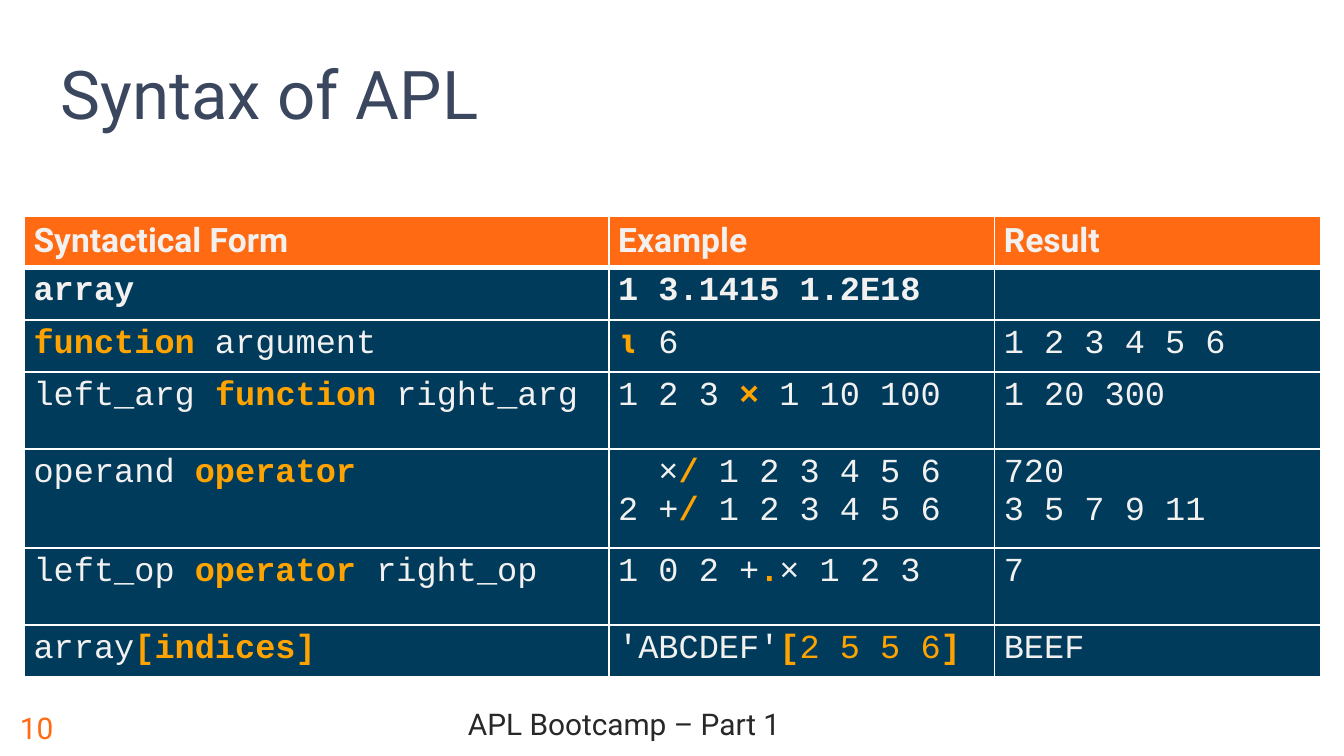
from lxml.etree import SubElement
from pptx import Presentation
from pptx.dml.color import RGBColor
from pptx.enum.text import MSO_ANCHOR as Anchor, MSO_AUTO_SIZE as AutoSize, PP_ALIGN as Align
from pptx.oxml.ns import qn
from pptx.util import Inches, Pt

WHITE = RGBColor(0xFF, 0xFF, 0xFF)
LIGHT = RGBColor(0xF2, 0xF1, 0xF0)
ORANGE = RGBColor(0xFF, 0x6A, 0x13)
AMBER = RGBColor(0xFF, 0xA3, 0x00)
NAVY = RGBColor(0x00, 0x3B, 0x5C)
SLATE = RGBColor(0x3B, 0x47, 0x5E)
CHARCOAL = RGBColor(0x28, 0x28, 0x28)

HEADING = {"name": "Roboto", "size": Pt(18), "bold": True, "color": LIGHT}
PLAIN = {"name": "Courier New", "size": Pt(18), "bold": False, "color": LIGHT}
STRONG = {**PLAIN, "bold": True}
ACCENT = {**PLAIN, "color": AMBER}
KEY = {**STRONG, "color": AMBER}

COLUMN_WIDTHS = [4.35, 2.87, 2.43]
ROW_HEIGHTS = [0.21, 0.39, 0.39, 0.57, 0.74, 0.57, 0.39]
ROWS = [
    [[("Syntactical Form", HEADING)], [("Example", HEADING)], [("Result", HEADING)]],
    [[("array", STRONG)], [("1 3.1415 1.2E18", STRONG)], []],
    [[("function", KEY), (" argument", PLAIN)],
     [("⍳", KEY), (" 6", PLAIN)],
     [("1 2 3 4 5 6", PLAIN)]],
    [[("left_arg ", PLAIN), ("function", KEY), (" right_arg", PLAIN)],
     [("1 2 3 ", PLAIN), ("×", KEY), (" 1 10 100", PLAIN)],
     [("1 20 300", PLAIN)]],
    [[("operand ", PLAIN), ("operator", KEY)],
     [("  ×", PLAIN), ("/", KEY), (" 1 2 3 4 5 6\n2 +", PLAIN), ("/", KEY),
      (" 1 2 3 4 5 6", PLAIN)],
     [("720\n3 5 7 9 11", PLAIN)]],
    [[("left_op ", PLAIN), ("operator", KEY), (" right_op", PLAIN)],
     [("1 0 2 +", PLAIN), (".", KEY), ("× 1 2 3", PLAIN)],
     [("7", PLAIN)]],
    [[("array", PLAIN), ("[indices]", KEY)],
     [("'ABCDEF'", PLAIN), ("[", KEY), ("2 5 5 6", ACCENT), ("]", KEY)],
     [("BEEF", PLAIN)]],
]


def apply_format(target, values):
    """Set each format value on a font, frame, cell or paragraph."""
    for name, value in values.items():
        if name == "color":
            target.color.rgb = value
        else:
            setattr(target, name, value)


def add_runs(paragraph, runs):
    """Add formatted runs, turning newlines into line breaks."""
    for text, values in runs:
        for index, line in enumerate(text.split("\n")):
            if index:
                paragraph.add_line_break()
            run = paragraph.add_run()
            run.text = line
            apply_format(run.font, values)


def add_borders(cell, widths):
    """Draw white cell borders of the given point widths."""
    properties = cell._tc.get_or_add_tcPr()
    for side, width in widths.items():
        line = SubElement(properties, qn(f"a:ln{side}"), w=str(Pt(width)))
        fill = SubElement(line, qn("a:solidFill"))
        SubElement(fill, qn("a:srgbClr"), val=str(WHITE))


def add_title(slide, left, top, width, height):
    """Place the title in its placeholder."""
    title = slide.shapes.title
    box = {"left": left, "top": top, "width": width, "height": height}
    apply_format(title, {name: Inches(value) for name, value in box.items()})
    apply_format(title.text_frame, {"vertical_anchor": Anchor.BOTTOM, "word_wrap": True,
                                    "auto_size": AutoSize.NONE})
    paragraph = title.text_frame.paragraphs[0]
    paragraph.alignment = Align.LEFT
    add_runs(paragraph, [("Syntax of APL", {"name": "Roboto", "size": Pt(36), "color": SLATE})])


def add_syntax_table(slide, left, top, width, height):
    """Place the table of syntactical forms."""
    frame = slide.shapes.add_table(len(ROWS), len(COLUMN_WIDTHS), Inches(left), Inches(top),
                                   Inches(width), Inches(height))
    table = frame.table
    for column, column_width in zip(table.columns, COLUMN_WIDTHS):
        column.width = Inches(column_width)
    margins = {"margin_left": Inches(0.07), "margin_right": Inches(0.07),
               "margin_top": Inches(0.04), "margin_bottom": Inches(0.04)}
    for row_index, cells in enumerate(ROWS):
        table.rows[row_index].height = Inches(ROW_HEIGHTS[row_index])
        for column_index, runs in enumerate(cells):
            cell = table.cell(row_index, column_index)
            apply_format(cell, margins)
            add_borders(cell, {"L": 1, "R": 1, "T": 3 if row_index == 1 else 1,
                               "B": 3 if row_index == 0 else 1})
            cell.fill.solid()
            cell.fill.fore_color.rgb = NAVY if row_index else ORANGE
            add_runs(cell.text_frame.paragraphs[0], runs)
    frame.height = Inches(height)


def add_footer_text(slide, left, width, text, color, paragraph_format):
    """Place one text on the footer line."""
    box = slide.shapes.add_textbox(Inches(left), Inches(5.19), Inches(width), Inches(0.44))
    apply_format(box.text_frame, {"word_wrap": True, "vertical_anchor": Anchor.MIDDLE})
    paragraph = box.text_frame.paragraphs[0]
    apply_format(paragraph, paragraph_format)
    add_runs(paragraph, [(text, {"name": "Roboto", "size": Pt(16), "color": color})])


def main():
    """Build and save the slide."""
    presentation = Presentation()
    presentation.slide_width = Inches(10)
    presentation.slide_height = Inches(10 * 9 / 16)
    slide = presentation.slides.add_slide(presentation.slide_layouts[5])
    add_footer_text(slide, 0.78, 7.73, "APL Bootcamp – Part 1", CHARCOAL,
                    {"alignment": Align.CENTER, "line_spacing": 0.8})
    add_footer_text(slide, 0.05, 0.73, "10", ORANGE, {"alignment": Align.LEFT})
    add_title(slide, 0.35, 0.29, 7.12, 0.75)
    add_syntax_table(slide, 0.18, 1.61, 9.65, 3.42)
    presentation.save("out.pptx")


if __name__ == "__main__":
    main()
